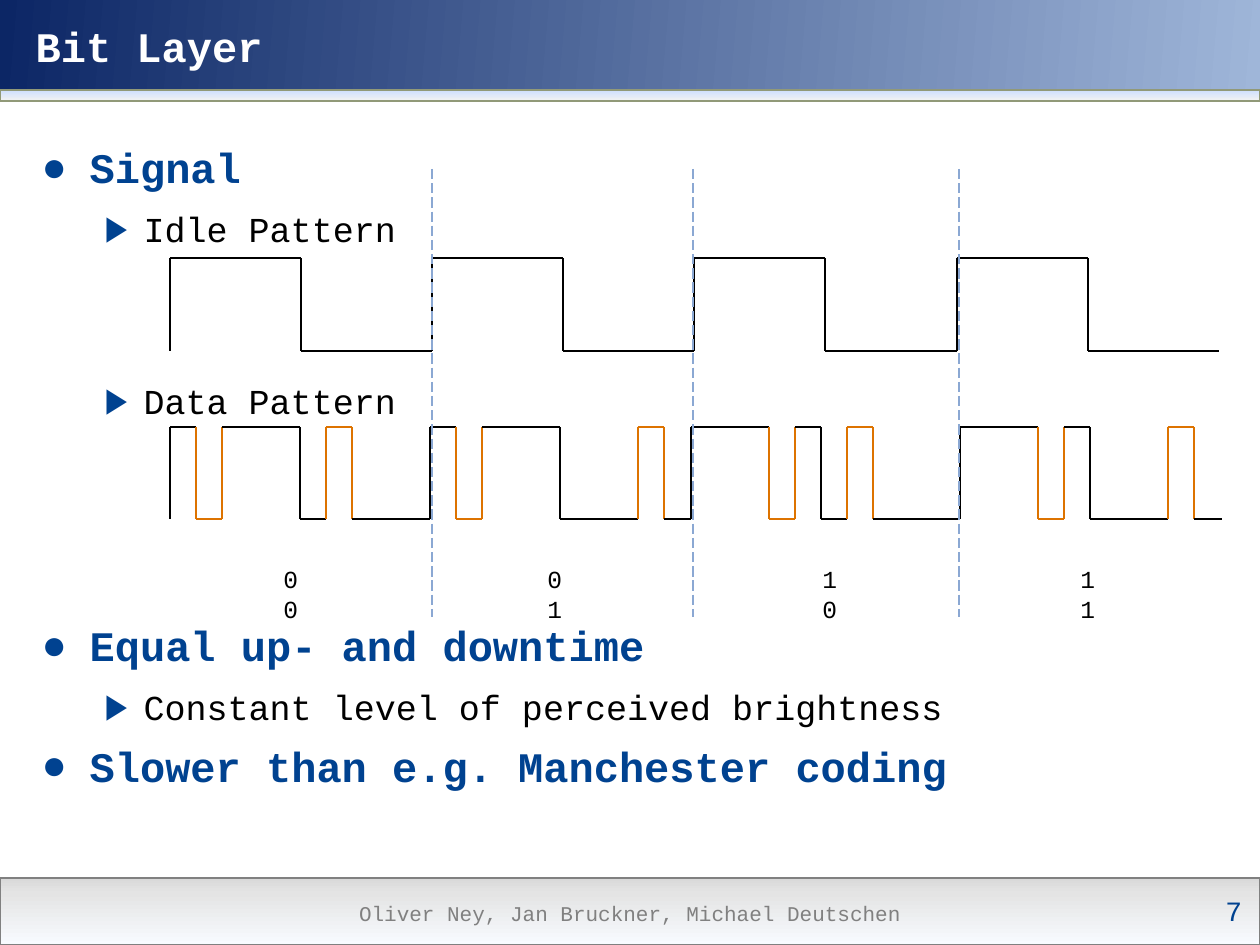
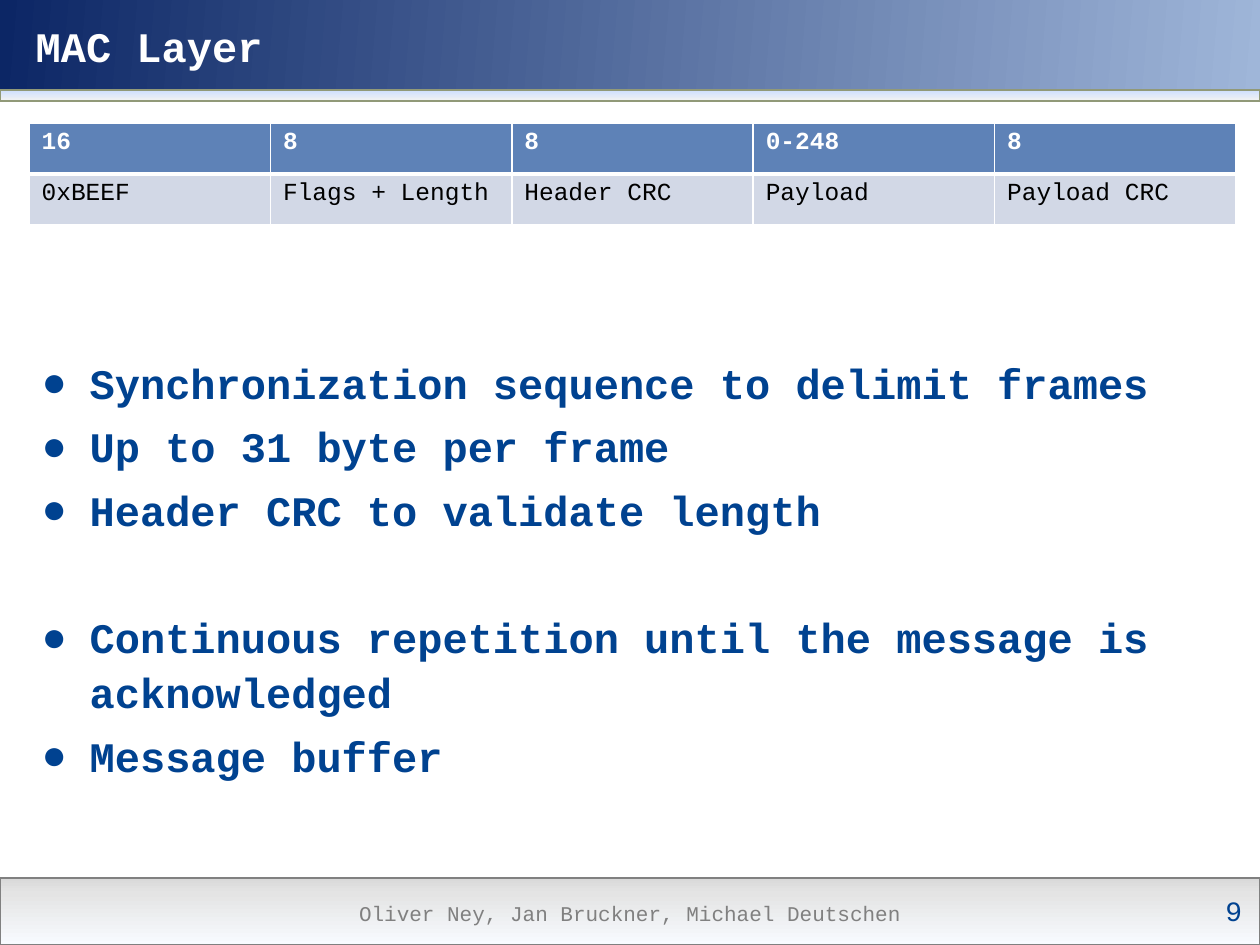
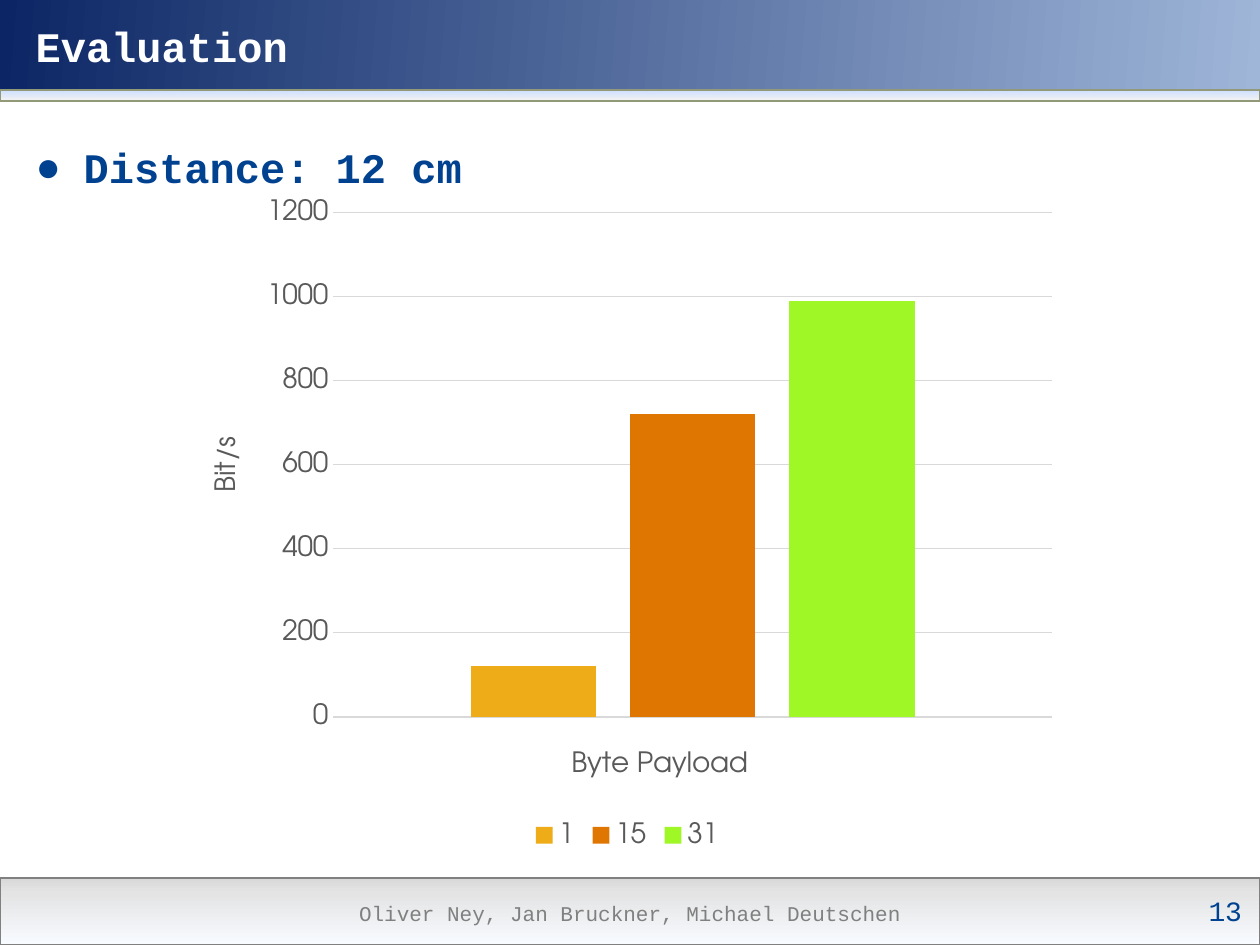
from dataclasses import dataclass
from typing import Optional

from lxml.etree import SubElement
from pptx import Presentation
from pptx.chart.data import CategoryChartData
from pptx.dml.color import RGBColor
from pptx.enum.chart import XL_CHART_TYPE, XL_LEGEND_POSITION, XL_TICK_MARK
from pptx.enum.dml import MSO_LINE
from pptx.enum.shapes import MSO_CONNECTOR, MSO_SHAPE
from pptx.enum.text import MSO_ANCHOR, MSO_AUTO_SIZE, PP_ALIGN
from pptx.oxml.ns import qn
from pptx.util import Emu, Pt

EMU_PER_PX = 914400 / 126
MONO, CHART_FONT = "Courier New", "TeX Gyre Adventor"
BLUE, WHITE, BLACK, ORANGE = "004290", "FFFFFF", "000000", "DD7300"
GREY, CHART_GREY, GRID = "808080", "595959", "D9D9D9"
DIVIDER, HEAD_FILL, ROW_FILL = "8BA8D3", "5E82B7", "D2D8E6"
AUTHORS = "Oliver Ney, Jan Bruckner, Michael Deutschen"


@dataclass(frozen=True)
class Band:
    top: int
    height: int
    stops: dict[int, str]
    angle: int = 0
    line: Optional[str] = None


@dataclass(frozen=True)
class Level:
    bullet: str
    margin: int
    hang: int
    size: int
    color: str
    bold: bool
    spacing: float
    before: int


@dataclass(frozen=True)
class Item:
    text: str
    level: int = 0
    gap: int = 0  # extra room above, in px


@dataclass(frozen=True)
class Wave:
    high: int
    low: int
    starts: tuple[int, ...]
    half: int


BANDS = (
    Band(0, 116, {0: "0C2665", 100: "9FB6D9"}, 5),
    Band(92, 786, {0: WHITE}),
    Band(90, 11, {0: "F2F2F2", 100: "CEDFFF"}, 270, "919978"),
    Band(878, 67, {0: "D9D9D9", 23: "E4E4E4", 100: "F8FBFF"}, 90, GREY),
)
LEVELS = (
    Level("●", 48, 48, 24, BLUE, True, 1.1, 8),
    Level("▶", 102, 39, 20, BLACK, False, 1.2, 7),
)
SLOT = 26
IDLE = Wave(258, 351, (170, 432, 694, 957, 1219), 131)
DATA = Wave(427, 519, (170, 430, 691, 960, 1222), 5 * SLOT)
SYMBOLS = {"00": 271, "01": 535, "10": 810, "11": 1068}
DIVIDERS = (432, 693, 959)
FRAME = {"16": "0xBEEF", "8": "Flags + Length", "8 ": "Header CRC"}
FRAME = (
    ("16", "8", "8", "0-248", "8"),
    ("0xBEEF", "Flags + Length", "Header CRC", "Payload", "Payload CRC"),
)
RATES = (("1", 120, "EEAC19"), ("15", 720, "E07602"), ("31", 990, "9FF726"))


def px(n: float) -> Emu:
    return Emu(round(n * EMU_PER_PX))


def rgb(color: str) -> RGBColor:
    return RGBColor.from_string(color)


def style(font, size: int, color: str, bold: bool = False, name: str = MONO) -> None:
    font.name, font.size, font.bold = name, Pt(size), bold
    font.color.rgb = rgb(color)


def place(sp, left: int, top: int, width: int, height: int) -> None:
    sp.left, sp.top, sp.width, sp.height = map(px, (left, top, width, height))


def paint(fill, owner, stops: dict[int, str], angle: int) -> None:
    """Fill with one colour, or with a gradient turned clockwise by angle."""
    if len(stops) == 1:
        fill.solid()
        fill.fore_color.rgb = rgb(stops[0])
        return
    fill.gradient()
    fill.gradient_angle = -angle % 360
    gs_lst = next(owner.iter(qn("a:gsLst")))
    for gs in list(gs_lst):
        gs_lst.remove(gs)
    for pos, color in stops.items():
        gs = SubElement(gs_lst, qn("a:gs"), pos=str(pos * 1000))
        SubElement(gs, qn("a:srgbClr"), val=color)


def add_text(s, text: str, box: tuple[int, int, int, int], size: int, color: str,
             align=PP_ALIGN.LEFT):
    sp = s.shapes.add_textbox(*map(px, box))
    tf = sp.text_frame
    tf.word_wrap = True
    tf.text = text
    p = tf.paragraphs[0]
    p.alignment = align
    style(p.runs[0].font, size, color)
    return sp


def add_band(s, band: Band):
    sp = s.shapes.add_shape(MSO_SHAPE.RECTANGLE, 0, px(band.top), px(1260), px(band.height))
    sp.shadow.inherit = False
    paint(sp.fill, sp.element, band.stops, band.angle)
    if band.line:
        sp.line.color.rgb = rgb(band.line)
        sp.line.width = Pt(0.75)
    else:
        sp.line.fill.background()
    return sp


def fill_master(prs, s) -> None:
    """Draw the bands and the footer on s, then move them to the slide master."""
    master = prs.slide_master
    paint(master.background.fill, master.element, {0: "00418F", 100: "5677C1"}, 45)
    parts = [add_band(s, band) for band in BANDS]
    footer = add_text(s, AUTHORS, (285, 880, 690, 67), 12, GREY, PP_ALIGN.CENTER)
    footer.text_frame.vertical_anchor = MSO_ANCHOR.MIDDLE
    for i, sp in enumerate(parts + [footer]):
        sp.element.nvSpPr.cNvPr.set("id", str(100 + i))
        master.shapes.element.insert(2 + i, sp.element)


def start_slide(prs, title: str, number: int):
    s = prs.slides.add_slide(prs.slide_layouts[1])
    if len(prs.slides) == 1:
        fill_master(prs, s)
    sp = s.shapes.title
    place(sp, 23, 14, 1207, 63)
    tf = sp.text_frame
    tf.text = title
    tf.auto_size = MSO_AUTO_SIZE.NONE
    tf.vertical_anchor = MSO_ANCHOR.TOP
    p = tf.paragraphs[0]
    p.alignment = PP_ALIGN.LEFT
    style(p.runs[0].font, 24, WHITE, True)
    page = add_text(s, str(number), (1173, 887, 69, 47), 16, BLUE, PP_ALIGN.RIGHT)
    page.text_frame.margin_right = 0
    return s


def fill_body(s, items: list[Item], left: int, top: int, height: int) -> None:
    sp = s.placeholders[1]
    place(sp, left, top, 1207, height)
    tf = sp.text_frame
    tf.text = "\n".join(item.text for item in items)
    tf.auto_size = MSO_AUTO_SIZE.NONE
    tf.vertical_anchor = MSO_ANCHOR.TOP
    for i, (p, item) in enumerate(zip(tf.paragraphs, items)):
        level = LEVELS[item.level]
        p.level = item.level
        pPr = p._p.get_or_add_pPr()
        pPr.set("marL", str(px(level.margin)))
        pPr.set("indent", str(-px(level.hang)))
        SubElement(SubElement(pPr, qn("a:buClr")), qn("a:srgbClr"), val=BLUE)
        SubElement(pPr, qn("a:buChar"), char=level.bullet)
        p.line_spacing = level.spacing
        p.space_before = px(level.before + item.gap) if i else 0
        style(p.runs[0].font, level.size, level.color, level.bold)


def add_line(s, x1: int, y1: int, x2: int, y2: int, color: str = BLACK):
    line = s.shapes.add_connector(MSO_CONNECTOR.STRAIGHT, *map(px, (x1, y1, x2, y2)))
    line.line.color.rgb = rgb(color)
    line.line.width = Pt(0.75)
    SubElement(line.element.spPr, qn("a:effectLst"))
    return line


def draw_half(s, x1: int, x2: int, level: int, other: int, bit: str) -> None:
    """Draw one half period; a bit flips slot 1 (for 0) or slot 3 (for 1)."""
    add_line(s, x1, level, x1, other)
    if not bit:
        add_line(s, x1, level, x2, level)
        return
    a = x1 + SLOT * (3 if bit == "1" else 1)
    b = a + SLOT
    add_line(s, x1, level, a, level)
    add_line(s, a, level, a, other, ORANGE)
    add_line(s, a, other, b, other, ORANGE)
    add_line(s, b, other, b, level, ORANGE)
    add_line(s, b, level, x2, level)


def draw_wave(s, wave: Wave, symbols: list[str]) -> None:
    for start, end, symbol in zip(wave.starts, wave.starts[1:], symbols):
        middle = start + wave.half
        draw_half(s, start, middle, wave.high, wave.low, symbol[:1])
        draw_half(s, middle, end, wave.low, wave.high, symbol[1:])


def add_frame_table(s) -> None:
    rows, cols = len(FRAME), len(FRAME[0])
    table = s.shapes.add_table(rows, cols, px(29), px(123), px(1207), px(102)).table
    table.horz_banding = False
    for r, texts in enumerate(FRAME):
        table.rows[r].height = px(51)
        for c, text in enumerate(texts):
            cell = table.cell(r, c)
            cell.text = text
            style(cell.text_frame.paragraphs[0].runs[0].font, 14,
                  BLACK if r else WHITE, r == 0)
            tcPr = cell._tc.get_or_add_tcPr()
            for side in "LRTB":
                thick = (r, side) in ((0, "B"), (1, "T"))
                ln = SubElement(tcPr, qn(f"a:ln{side}"), w=str(Pt(3 if thick else 1)))
                SubElement(SubElement(ln, qn("a:solidFill")), qn("a:srgbClr"), val=WHITE)
            cell.fill.solid()
            cell.fill.fore_color.rgb = rgb(ROW_FILL if r else HEAD_FILL)


def title_axis(axis, text: str) -> None:
    tf = axis.axis_title.text_frame
    tf.text = text
    style(tf.paragraphs[0].runs[0].font, 16, CHART_GREY, name=CHART_FONT)


def add_rate_chart(s) -> None:
    data = CategoryChartData()
    data.categories = ["1"]
    for name, rate, _ in RATES:
        data.add_series(name, [rate])
    chart = s.shapes.add_chart(XL_CHART_TYPE.COLUMN_CLUSTERED,
                               *map(px, (184, 186, 886, 668)), data).chart
    style(chart.font, 16, CHART_GREY, name=CHART_FONT)
    chart.has_title = False
    chart.has_legend = True
    chart.legend.position = XL_LEGEND_POSITION.BOTTOM
    chart.legend.include_in_layout = False
    plot = chart.plots[0]
    plot.vary_by_categories = False
    plot.gap_width, plot.overlap = 219, -27
    for series, (_, _, color) in zip(plot.series, RATES):
        series.format.fill.solid()
        series.format.fill.fore_color.rgb = rgb(color)
    chart.category_axis.visible = False
    title_axis(chart.category_axis, "Byte Payload")
    axis = chart.value_axis
    title_axis(axis, "Bit/s")
    axis.minimum_scale, axis.maximum_scale, axis.major_unit = 0, 1200, 200
    axis.major_tick_mark = XL_TICK_MARK.NONE
    axis.format.line.fill.background()
    grid = axis.major_gridlines.format.line
    grid.color.rgb = rgb(GRID)
    grid.width = Pt(0.75)


def bit_layer(prs) -> None:
    s = start_slide(prs, "Bit Layer", 7)
    fill_body(s, [
        Item("Signal"),
        Item("Idle Pattern", 1),
        Item("Data Pattern", 1, 115),
        Item("Equal up- and downtime", 0, 185),
        Item("Constant level of perceived brightness", 1),
        Item("Slower than e.g. Manchester coding"),
    ], 29, 130, 724)
    draw_wave(s, IDLE, [""] * len(SYMBOLS))
    draw_wave(s, DATA, list(SYMBOLS))
    for x in DIVIDERS:
        add_line(s, x, 169, x, 617, DIVIDER).line.dash_style = MSO_LINE.LONG_DASH
    for symbol, left in SYMBOLS.items():
        add_text(s, symbol, (left, 558, 53, 43), 14, BLACK)


def mac_layer(prs) -> None:
    s = start_slide(prs, "MAC Layer", 9)
    add_frame_table(s)
    fill_body(s, [
        Item("Synchronization sequence to delimit frames"),
        Item("Up to 31 byte per frame"),
        Item("Header CRC to validate length"),
        Item("Continuous repetition until the message is acknowledged", 0, 64),
        Item("Message buffer"),
    ], 29, 346, 509)


def evaluation(prs) -> None:
    s = start_slide(prs, "Evaluation", 13)
    fill_body(s, [Item("Distance: 12 cm")], 23, 130, 724)
    add_rate_chart(s)


def main() -> None:
    prs = Presentation()
    prs.slide_width, prs.slide_height = px(1260), px(945)
    bit_layer(prs)
    mac_layer(prs)
    evaluation(prs)
    prs.save("out.pptx")


if __name__ == "__main__":
    main()
